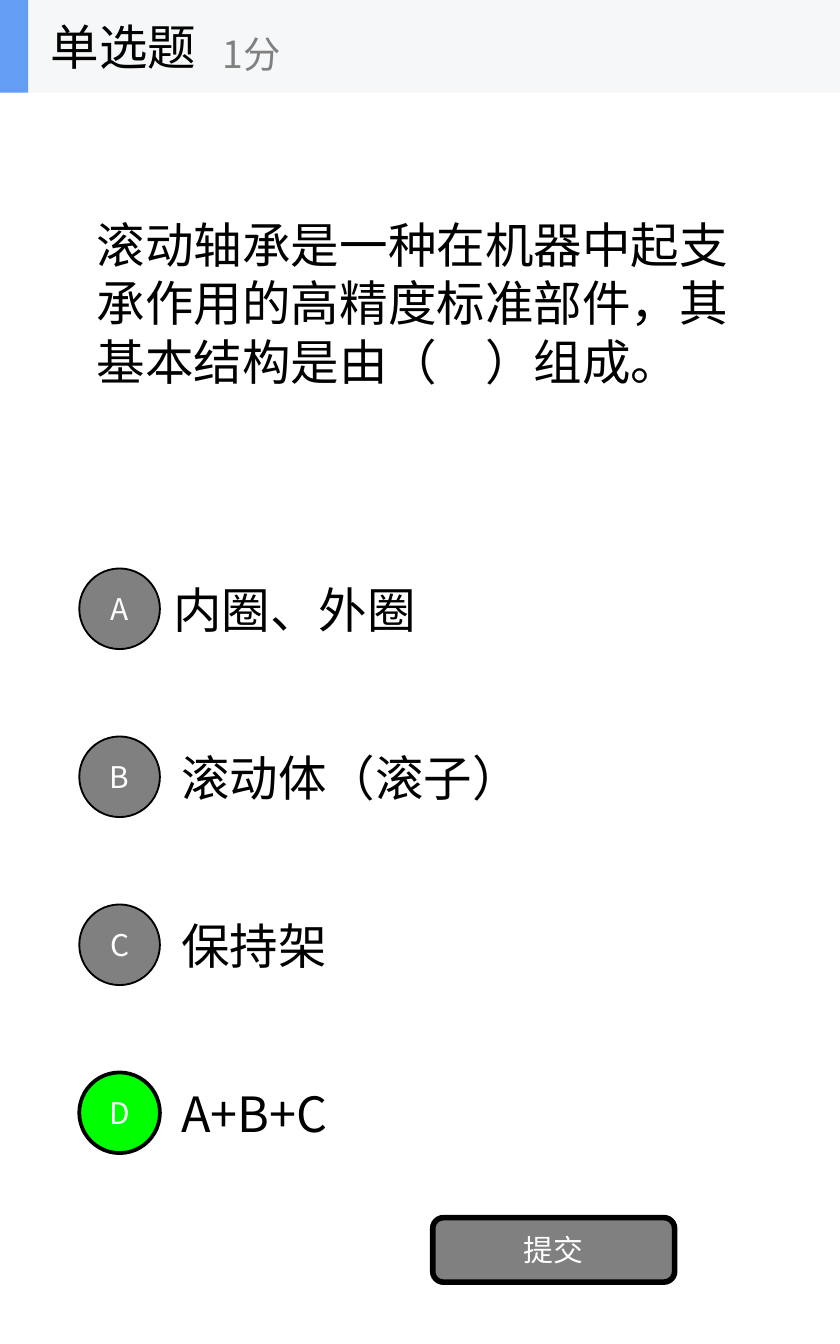
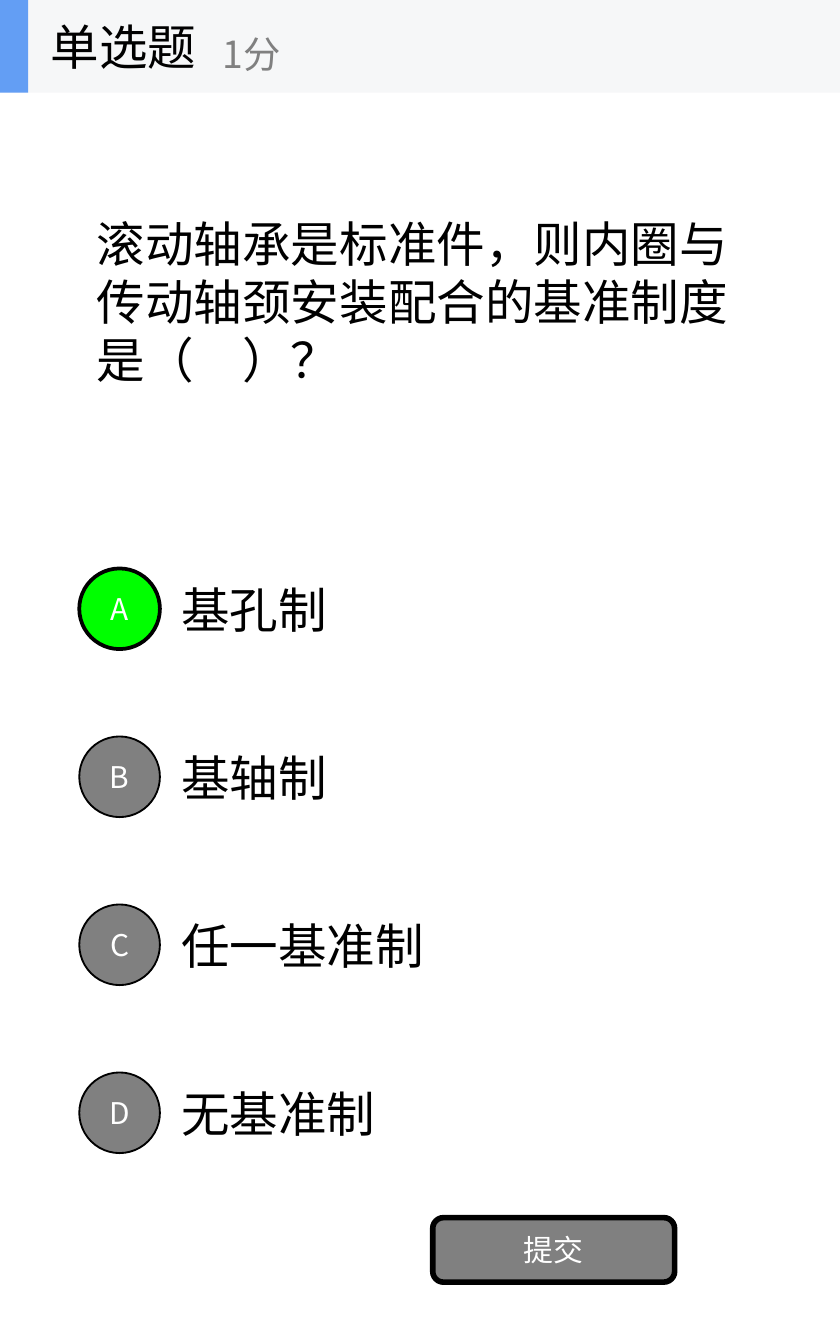
"""Build two single-choice quiz slides about rolling bearings."""
from pptx import Presentation
from pptx.dml.color import RGBColor
from pptx.enum.shapes import MSO_SHAPE
from pptx.enum.text import MSO_ANCHOR, MSO_AUTO_SIZE, PP_ALIGN
from pptx.oxml.ns import qn
from pptx.util import Inches, Pt
from lxml.etree import SubElement

QUESTIONS = [
    {
        "text": "滚动轴承是一种在机器中起支承作用的高精度标准部件，其基本结构是由（　）组成。",
        "top": 0.69,
        "options": [("内圈、外圈", 1.19), ("滚动体（滚子）", 1.25), ("保持架", 1.25), ("A+B+C", 1.25)],
        "answer": "D",
    },
    {
        "text": "滚动轴承是标准件，则内圈与传动轴颈安装配合的基准制度是（　）？",
        "top": 0.68,
        "options": [("基孔制", 1.25), ("基轴制", 1.25), ("任一基准制", 1.25), ("无基准制", 1.25)],
        "answer": "A",
    },
]
QUIZ_TYPE, SCORE, SUBMIT = "单选题", "1分", "提交"

FONT = "Noto Sans CJK SC"
BLACK, WHITE, GRAY, GREEN = "000000", "FFFFFF", "808080", "00FF00"
BAND, ACCENT = "F6F7F8", "639EF4"
SLIDE_WIDTH, SLIDE_HEIGHT, BAND_HEIGHT = 6.25, 10, 0.69
OPTION_TOP, OPTION_HEIGHT, OPTION_STEP = 4.06, 0.94, 1.25
BADGE_LEFT, BADGE_SIZE = 0.59, 0.6


def color(value):
    """Turn a hex string into a colour."""
    return RGBColor.from_string(value)


def write(shape, text, size, text_color, align=PP_ALIGN.LEFT):
    """Put one vertically centred paragraph into a shape."""
    frame = shape.text_frame
    frame.text = text
    frame.word_wrap = True
    frame.auto_size = MSO_AUTO_SIZE.NONE
    frame.vertical_anchor = MSO_ANCHOR.MIDDLE
    para = frame.paragraphs[0]
    para.alignment = align
    for span in para.runs:
        span.font.size = Pt(size)
        span.font.color.rgb = color(text_color)
        span.font.name = FONT
        SubElement(span.font._element, qn("a:ea"), typeface=FONT)


def add_text(shapes, bounds, text, size=26, text_color=BLACK):
    """Add a text box."""
    box = shapes.add_textbox(*map(Inches, bounds))
    write(box, text, size, text_color)


def add_block(shapes, kind, bounds, fill, line_width=0, text=""):
    """Add a filled shape with an optional outline and label."""
    shape = shapes.add_shape(kind, *map(Inches, bounds))
    shape.shadow.inherit = False
    shape.fill.solid()
    shape.fill.fore_color.rgb = color(fill)
    if line_width:
        shape.line.color.rgb = color(BLACK)
        shape.line.width = Pt(line_width)
    else:
        shape.line.fill.background()
    if text:
        write(shape, text, 16, WHITE, PP_ALIGN.CENTER)


def add_header(slide):
    """Add the grouped band with the quiz type and score."""
    shapes = slide.shapes.add_group_shape().shapes
    for width, fill in ((SLIDE_WIDTH, BAND), (0.21, ACCENT)):
        add_block(shapes, MSO_SHAPE.RECTANGLE, (0, 0, width, BAND_HEIGHT), fill)
    add_text(shapes, (0.28, 0, 2.08, BAND_HEIGHT), QUIZ_TYPE)
    add_text(shapes, (1.56, 0.12, 2.5, 0.56), SCORE, 20, GRAY)


def add_question(deck, question):
    """Add one slide with a question, its options and a submit button."""
    slide = deck.slides.add_slide(deck.slide_layouts[5])
    title = slide.shapes.title
    title.left, title.top, title.width, title.height = map(Inches, (0.62, question["top"], 5, 3.12))
    write(title, question["text"], 26, BLACK)
    for row, (text, left) in enumerate(question["options"]):
        top = OPTION_TOP + row * OPTION_STEP
        add_text(slide.shapes, (left, top, 4.38, OPTION_HEIGHT), text)
    for row, letter in enumerate("ABCD"):
        top = OPTION_TOP + row * OPTION_STEP + (OPTION_HEIGHT - BADGE_SIZE) / 2
        fill, line_width = (GREEN, 2) if letter == question["answer"] else (GRAY, 1)
        bounds = (BADGE_LEFT, top, BADGE_SIZE, BADGE_SIZE)
        add_block(slide.shapes, MSO_SHAPE.OVAL, bounds, fill, line_width, letter)
    add_block(slide.shapes, MSO_SHAPE.ROUNDED_RECTANGLE, (3.22, 9.06, 1.8, 0.48), GRAY, 3, SUBMIT)
    add_header(slide)


def main():
    """Build and save the deck."""
    deck = Presentation()
    deck.slide_width, deck.slide_height = Inches(SLIDE_WIDTH), Inches(SLIDE_HEIGHT)
    for question in QUESTIONS:
        add_question(deck, question)
    deck.save("out.pptx")


if __name__ == "__main__":
    main()
